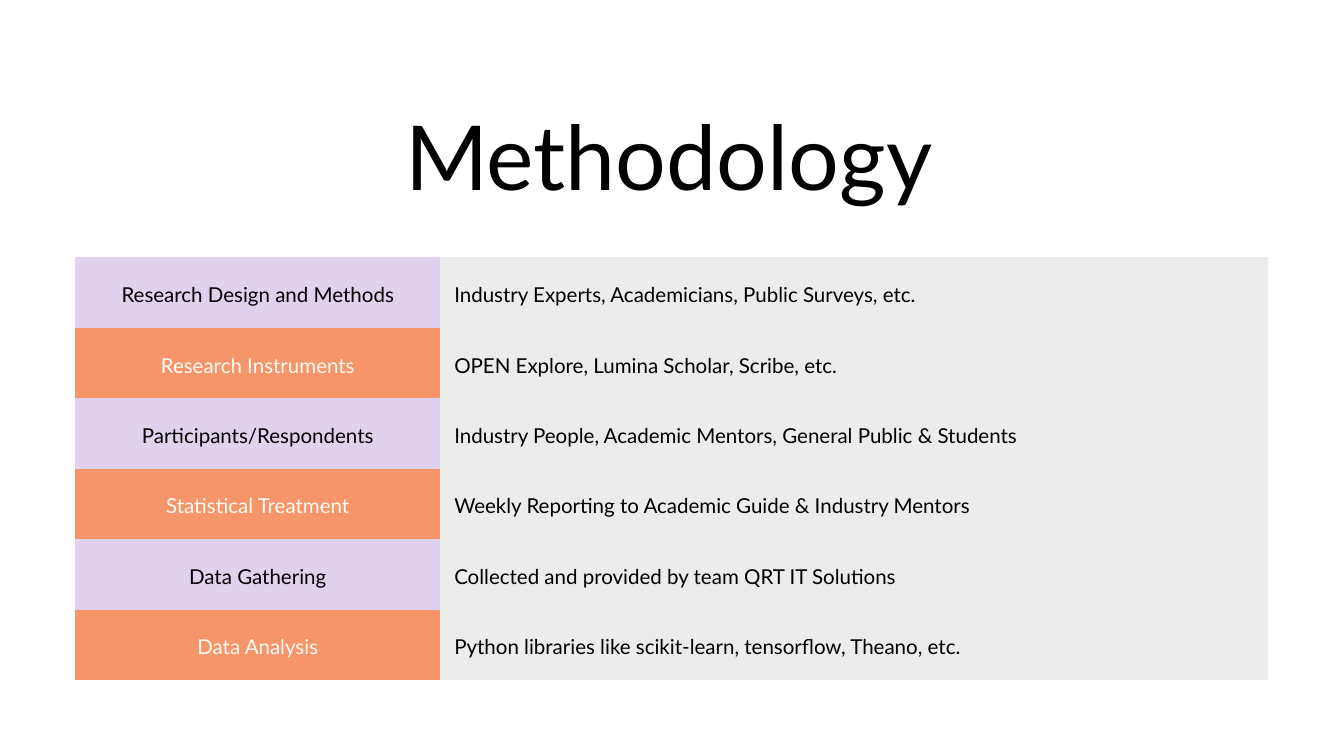
from dataclasses import dataclass

from lxml import etree
from pptx import Presentation
from pptx import util as u
from pptx.dml.color import RGBColor
from pptx.enum import text
from pptx.oxml import ns

PX = u.Inches(1) // 100


@dataclass(frozen=True)
class Theme:
    font: str = "Lato"
    title_size: int = 96
    title_leading: int = 108
    body_size: int = 22
    body_leading: float = 30.8
    ink: str = "000000"
    light_ink: str = "FEFBF5"
    lilac: str = "E0D2EF"
    orange: str = "F6956A"
    grey: str = "EDECED"


T = Theme()

METHODS = [
    ("Research Design and Methods", "Industry Experts, Academicians, Public Surveys, etc."),
    ("Research Instruments", "OPEN Explore, Lumina Scholar, Scribe, etc."),
    ("Participants/Respondents", "Industry People, Academic Mentors, General Public & Students"),
    ("Statistical Treatment", "Weekly Reporting to Academic Guide & Industry Mentors"),
    ("Data Gathering", "Collected and provided by team QRT IT Solutions"),
    ("Data Analysis", "Python libraries like scikit-learn, tensorflow, Theano, etc."),
]


def px(*lengths):
    return [u.Emu(n * PX) for n in lengths]


def set_text(tf, content, size, leading, color, align):
    p = tf.paragraphs[0]
    p.text = content
    p.alignment = align
    p.line_spacing = u.Pt(leading)
    p.font.name = T.font
    p.font.size = u.Pt(size)
    p.font.color.rgb = RGBColor.from_string(color)


def clear_borders(cell):
    tcPr = cell._tc.get_or_add_tcPr()
    for i, side in enumerate(("lnL", "lnR", "lnT", "lnB")):
        ln = etree.Element(ns.qn(f"a:{side}"), w="0")
        etree.SubElement(ln, ns.qn("a:noFill"))
        tcPr.insert(i, ln)


def fill_cell(cell, content, fill, color, align):
    cell.fill.solid()
    cell.fill.fore_color.rgb = RGBColor.from_string(fill)
    clear_borders(cell)
    cell.vertical_anchor = text.MSO_ANCHOR.MIDDLE
    cell.margin_left, cell.margin_top, cell.margin_right, cell.margin_bottom = px(*[21] * 4)
    set_text(cell.text_frame, content, T.body_size, T.body_leading, color, align)


def add_title(s, box, content):
    tf = s.shapes.add_textbox(*px(*box)).text_frame
    tf.word_wrap = True
    tf.margin_left = tf.margin_top = tf.margin_right = tf.margin_bottom = 0
    set_text(tf, content, T.title_size, T.title_leading, T.ink, text.PP_ALIGN.CENTER)


def add_methods_table(s, box, rows, label_width):
    table = s.shapes.add_table(len(rows), 2, *px(*box)).table
    table.first_row = table.horz_banding = False
    table.columns[0].width, table.columns[1].width = px(label_width, box[2] - label_width)
    bands = [(T.lilac, T.ink), (T.orange, T.light_ink)]
    for i, (label, detail) in enumerate(rows):
        fill_cell(table.cell(i, 0), label, *bands[i % 2], text.PP_ALIGN.CENTER)
        fill_cell(table.cell(i, 1), detail, T.grey, T.ink, text.PP_ALIGN.LEFT)


def main():
    prs = Presentation()
    prs.slide_width, prs.slide_height = px(2000, 1125)
    s = prs.slides.add_slide(prs.slide_layouts[6])
    add_methods_table(s, (112, 383, 1775, 629), METHODS, 543)
    add_title(s, (154, 160, 1682, 152), "Methodology")
    prs.save("out.pptx")


if __name__ == "__main__":
    main()
